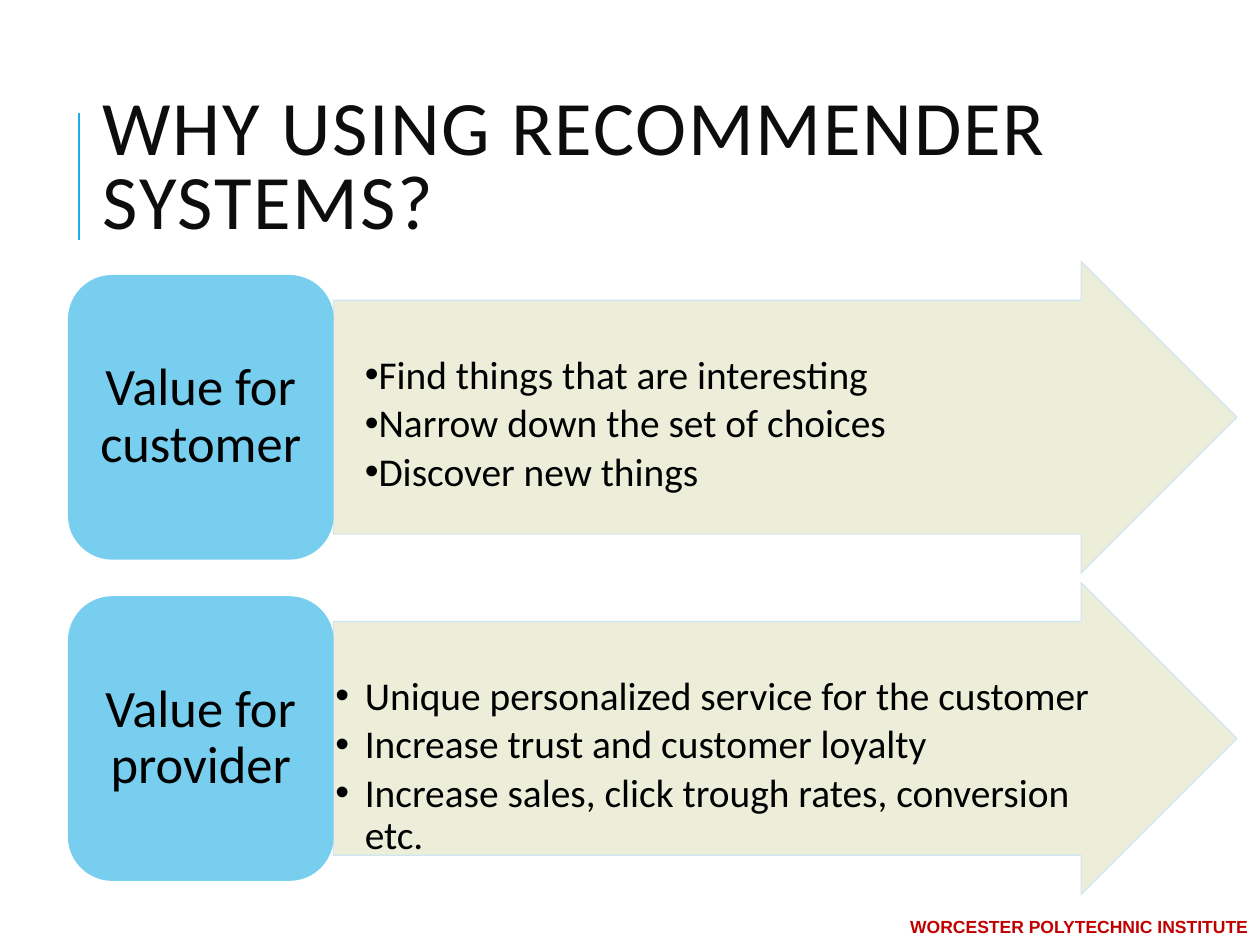
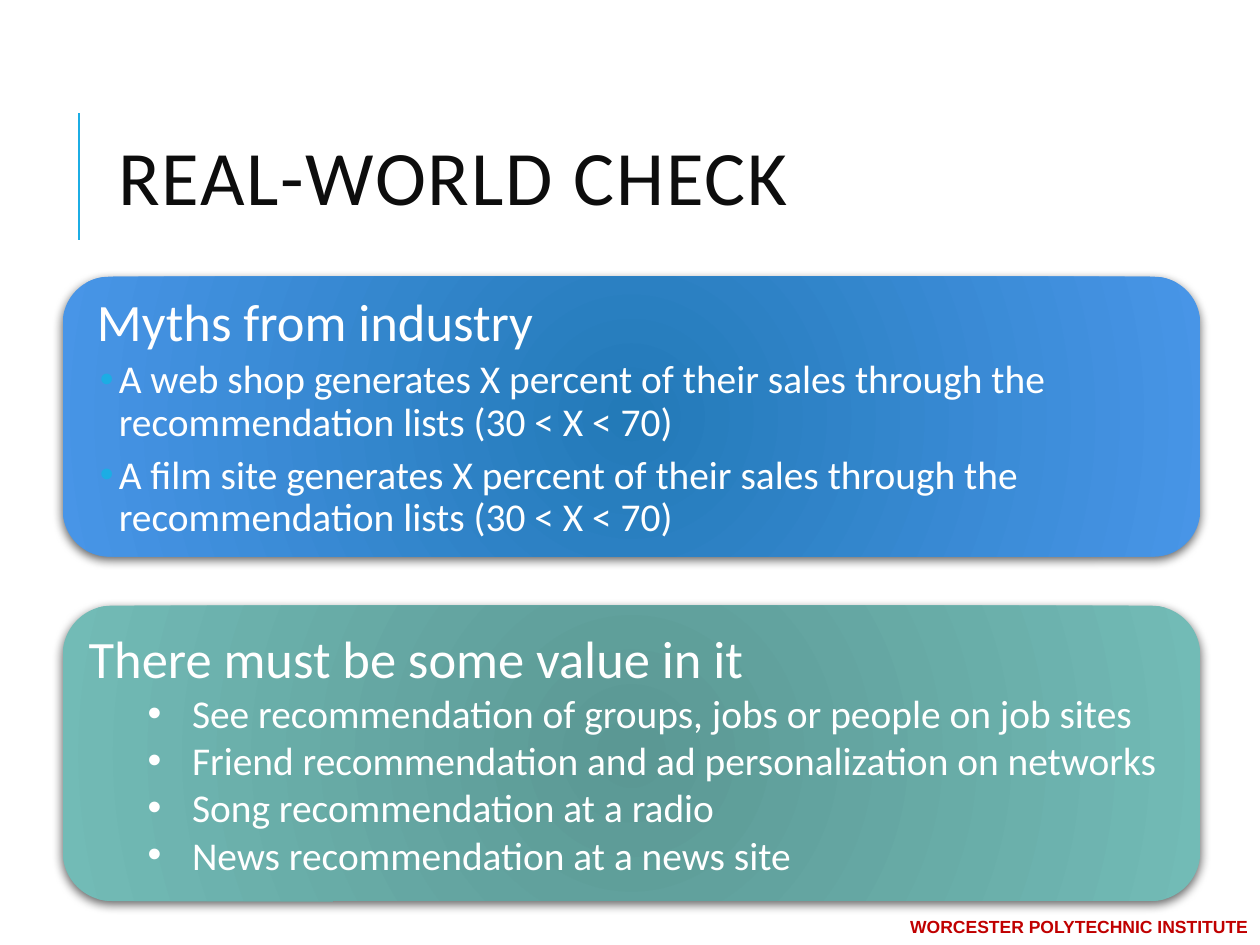
from lxml import etree
from pptx import Presentation
from pptx.dml.color import RGBColor
from pptx.enum.shapes import MSO_CONNECTOR, MSO_SHAPE
from pptx.enum.text import MSO_ANCHOR, MSO_AUTO_SIZE, PP_ALIGN
from pptx.oxml import parse_xml
from pptx.oxml.ns import nsdecls, qn
from pptx.util import Pt

ROUNDED, ARROW = MSO_SHAPE.ROUNDED_RECTANGLE, MSO_SHAPE.RIGHT_ARROW
STRAIGHT = MSO_CONNECTOR.STRAIGHT
TOP, MIDDLE = MSO_ANCHOR.TOP, MSO_ANCHOR.MIDDLE
LEFT, CENTER, RIGHT = PP_ALIGN.LEFT, PP_ALIGN.CENTER, PP_ALIGN.RIGHT

BLACK = RGBColor(0x00, 0x00, 0x00)
WHITE = RGBColor(0xFF, 0xFF, 0xFF)
TITLE_INK = RGBColor(0x0D, 0x0D, 0x0D)
ACCENT = RGBColor(0x1C, 0xAD, 0xE4)
FOOTER_RED = RGBColor(0xC0, 0x00, 0x00)
LABEL_BLUE = RGBColor(0x77, 0xCE, 0xEF)
ARROW_FILL = RGBColor(0xEC, 0xED, 0xD6)
ARROW_EDGE = RGBColor(0xCD, 0xE3, 0xF5)
BLUE_GLOW = (RGBColor(0x23, 0x7A, 0xB8), RGBColor(0x48, 0x95, 0xE7))
TEAL_GLOW = (RGBColor(0x5B, 0x98, 0x94), RGBColor(0x72, 0xBB, 0xB6))

SLIDE_W, SLIDE_H = 768, 576
HEADING_SIZE, BULLET_SIZE = 32, 24
FOOTER = "WORCESTER POLYTECHNIC INSTITUTE"

WHY_TITLE = "WHY USING RECOMMENDER SYSTEMS?"
# label, bullet indent, bullets
VALUES = [
    ("Value for customer", 0, [
        "Find things that are interesting",
        "Narrow down the set of choices",
        "Discover new things",
    ]),
    ("Value for provider", -18, [
        "Unique personalized service for the customer",
        "Increase trust and customer loyalty",
        "Increase sales, click trough rates, conversion etc.",
    ]),
]

CHECK_TITLE = "REAL-WORLD CHECK"
MYTHS = ("Myths from industry", [
    "A web shop generates X percent of their sales through the "
    "recommendation lists (30 < X < 70)",
    "A film site generates X percent of their sales through the "
    "recommendation lists (30 < X < 70)",
])
EVIDENCE = ("There must be some value in it", [
    "See recommendation of groups, jobs or people on job sites",
    "Friend recommendation and ad personalization on networks",
    "Song recommendation at a radio",
    "News recommendation at a news site",
])


def place(s, left, top, width, height):
    s.left, s.top, s.width, s.height = Pt(left), Pt(top), Pt(width), Pt(height)


def set_frame(s, anchor, inset_x=7.2, inset_y=3.6):
    tf = s.text_frame
    tf.word_wrap = True
    tf.auto_size = MSO_AUTO_SIZE.NONE
    tf.vertical_anchor = anchor
    tf.margin_left = tf.margin_right = Pt(inset_x)
    tf.margin_top = tf.margin_bottom = Pt(inset_y)
    return tf


def style(p, size, color, align=LEFT, font="Calibri", spacing=1.0, before=0, after=0):
    p.alignment = align
    p.line_spacing = spacing
    p.space_before, p.space_after = Pt(before), Pt(after)
    for r in p.runs:
        r.font.name, r.font.size, r.font.color.rgb = font, Pt(size), color


def set_bullet(p, margin, indent, char="•", color=None):
    """Set the indents in points and the bullet; char None means no bullet."""
    pPr = p._p.get_or_add_pPr()
    pPr.set("marL", str(Pt(margin)))
    pPr.set("indent", str(Pt(indent)))
    if char is None:
        etree.SubElement(pPr, qn("a:buNone"))
        return
    if color is not None:
        clr = etree.SubElement(pPr, qn("a:buClr"))
        etree.SubElement(clr, qn("a:srgbClr")).set("val", str(color))
    etree.SubElement(pPr, qn("a:buFont")).set("typeface", "Arial")
    etree.SubElement(pPr, qn("a:buChar")).set("char", char)


def add_bullets(tf, items, margin, indent, color, bullet_color=None, **spacing):
    """Append second-level bullets, starting in the frame's paragraph if it is empty."""
    for item in items:
        p = tf.add_paragraph() if tf.text else tf.paragraphs[0]
        p.text = item
        p.level = 1
        set_bullet(p, margin, indent, color=bullet_color)
        style(p, BULLET_SIZE, color, **spacing)


def new_slide(prs, layout, title, title_box):
    slide = prs.slides.add_slide(prs.slide_layouts[layout])
    s = slide.shapes.title
    place(s, *title_box)
    tf = set_frame(s, MIDDLE)
    tf.text = title
    style(tf.paragraphs[0], 46.9, TITLE_INK, spacing=0.8)
    tf.paragraphs[0].runs[0]._r.get_or_add_rPr().set("spc", "110")

    rule = slide.shapes.add_connector(STRAIGHT, Pt(48), Pt(146), Pt(48), Pt(69))
    rule.line.color.rgb, rule.line.width = ACCENT, Pt(1.5)
    etree.SubElement(rule._element.spPr, qn("a:effectLst"))

    s = slide.shapes.add_textbox(0, Pt(553), Pt(SLIDE_W), Pt(23))
    tf = set_frame(s, MIDDLE)
    tf.text = FOOTER
    style(tf.paragraphs[0], 10.7, FOOTER_RED, RIGHT, "Arial")
    tf.paragraphs[0].runs[0].font.bold = True
    return slide


def add_block(slide, shape, box, color):
    s = slide.shapes.add_shape(shape, *map(Pt, box))
    s.shadow.inherit = False
    s.fill.solid()
    s.fill.fore_color.rgb = color
    s.line.fill.background()
    return s


def add_value_row(slide, top, label, indent, items):
    arrow = add_block(slide, ARROW, (203.2, top, 550.8, 190), ARROW_FILL)
    arrow.adjustments[0], arrow.adjustments[1] = 0.75, 0.5
    arrow.line.color.rgb, arrow.line.width = ARROW_EDGE, Pt(0.75)
    for clr in arrow._element.spPr.iter(qn("a:srgbClr")):
        etree.SubElement(clr, qn("a:alpha")).set("val", "90000")
    tf = set_frame(arrow, TOP, 1.2, 1.2)
    tf.margin_top = Pt(33.5)
    add_bullets(tf, items, 18, indent, BLACK, spacing=0.9, after=3.6)

    s = add_block(slide, ROUNDED, (41.4, top + 8.3, 162, 173.5), LABEL_BLUE)
    tf = set_frame(s, MIDDLE, 9.6, 4.8)
    tf.text = label
    style(tf.paragraphs[0], HEADING_SIZE, BLACK, CENTER, spacing=0.9)


def set_glow(s, colors):
    """Give a radial fill from inner to outer colour, no outline and a soft shadow."""
    s.fill.gradient()
    for stop, color in zip(s.fill.gradient_stops, colors):
        stop.color.rgb = color
    s.line.fill.background()
    spPr = s._element.spPr
    grad = spPr.find(qn("a:gradFill"))
    grad.remove(grad.find(qn("a:lin")))
    grad.append(parse_xml(
        f'<a:path {nsdecls("a")} path="circle">'
        '<a:fillToRect l="100000" t="100000" r="100000" b="100000"/></a:path>'))
    spPr.append(parse_xml(
        f'<a:effectLst {nsdecls("a")}><a:outerShdw blurRad="{Pt(6)}" dist="{Pt(2)}" '
        'dir="5400000" rotWithShape="0"><a:srgbClr val="000000">'
        '<a:alpha val="60000"/></a:srgbClr></a:outerShdw></a:effectLst>'))


def fill_heading(tf, text, margin, spacing, after):
    tf.text = text
    p = tf.paragraphs[0]
    set_bullet(p, margin, 0, char=None)
    style(p, HEADING_SIZE, WHITE, spacing=spacing, after=after)


def build_why(prs):
    slide = new_slide(prs, 5, WHY_TITLE, (55.4, 54, 591, 99.4))
    for i, row in enumerate(VALUES):
        add_value_row(slide, 159.3 + i * 195.8, *row)


def build_check(prs):
    slide = new_slide(prs, 1, CHECK_TITLE, (64.8, 49, 612, 126))

    heading, items = MYTHS
    s = slide.placeholders[1]
    place(s, 38.2, 168.7, 693.4, 170.6)
    s._element.spPr.append(parse_xml(
        f'<a:prstGeom {nsdecls("a")} prst="roundRect"><a:avLst/></a:prstGeom>'))
    set_glow(s, BLUE_GLOW)
    tf = set_frame(s, TOP, 3.6, 3.6)
    fill_heading(tf, heading, 9, 0.9, 2.1)
    add_bullets(tf, items, 22.3, -11.5, WHITE, ACCENT, spacing=0.9, before=2.1, after=4.3)

    heading, items = EVIDENCE
    s = slide.shapes.add_shape(ROUNDED, Pt(38.2), Pt(369.2), Pt(693.4), Pt(180))
    set_glow(s, TEAL_GLOW)
    tf = set_frame(s, TOP)
    fill_heading(tf, heading, 0, 1.0, 0)
    add_bullets(tf, items, 63, -27, WHITE)


def main():
    prs = Presentation()
    prs.slide_width, prs.slide_height = Pt(SLIDE_W), Pt(SLIDE_H)
    build_why(prs)
    build_check(prs)
    prs.save("out.pptx")


if __name__ == "__main__":
    main()
